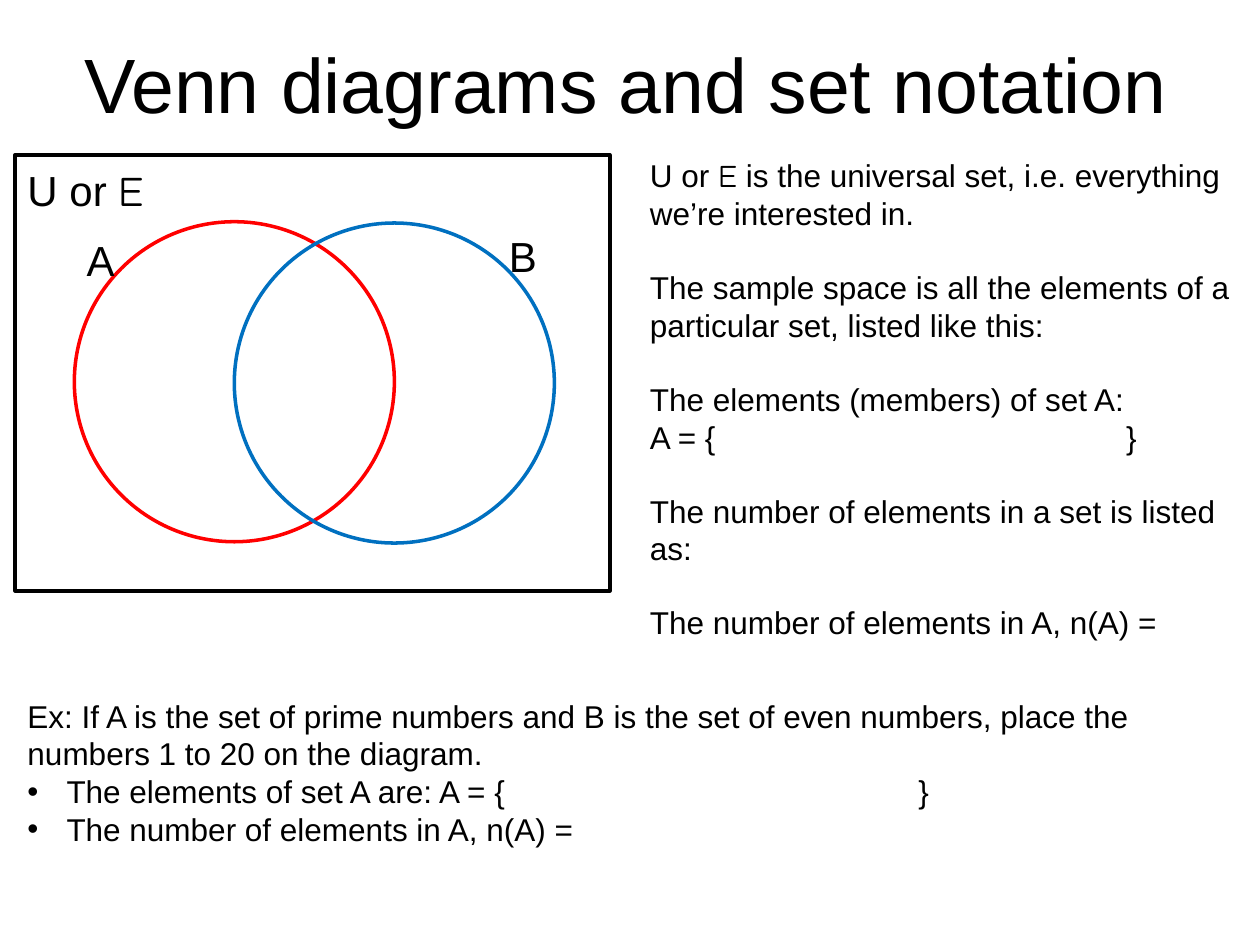
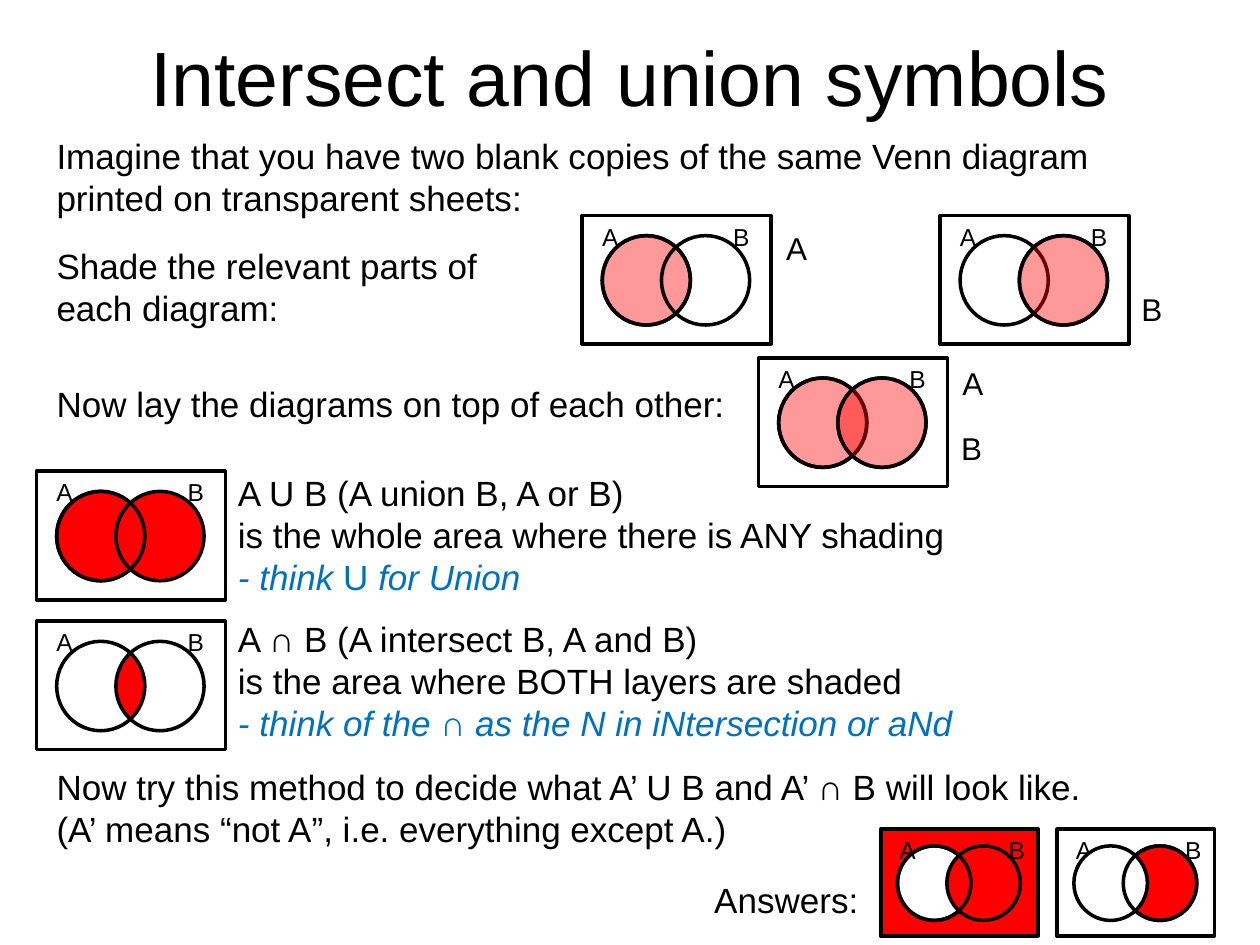
"""Build two slides on Venn diagrams, set notation, intersection and union."""
from dataclasses import dataclass
from math import acos, cos, pi, sin
from typing import Any

from lxml import etree
from pptx import Presentation
from pptx.dml.color import RGBColor
from pptx.enum.shapes import MSO_SHAPE
from pptx.enum.text import MSO_AUTO_SIZE
from pptx.oxml.ns import qn
from pptx.util import Inches, Pt

RECTANGLE = MSO_SHAPE.RECTANGLE
OVAL = MSO_SHAPE.OVAL
FIT_SHAPE = MSO_AUTO_SIZE.SHAPE_TO_FIT_TEXT
COLORS = {"black": "000000", "white": "FFFFFF", "red": "FF0000", "blue": "0070C0"}
FONT = "Arial"
SET_SYMBOL_FONT = "Comic Neue"
TITLE_ONLY = 5
BLANK_LINE = Pt(20.7)
BULLET_INDENT = 0.31
TINT_ALPHA = 40
FRAME_SIZE = (1.5, 1.02)
CIRCLE_SIZE = (0.7, 0.71)
CIRCLE_LEFT = {"A": 0.16, "B": 0.63}
CIRCLE_TOP = 0.16
LABEL_LEFT = {"A": 0.06, "B": 1.1}
LABEL_SIZE = (0.33, 0.34)
LENS_STEPS = 16


@dataclass(frozen=True)
class Span:
    text: str
    color: str = "black"
    italic: bool = False
    font: str = FONT


@dataclass(frozen=True)
class Line:
    spans: tuple[Span, ...]
    gap: bool = False
    bullet: bool = False
    tab: float = 0


@dataclass(frozen=True)
class Layer:
    name: str
    fill: str = ""
    alpha: int = 100


@dataclass(frozen=True)
class Venn:
    left: float
    top: float
    layers: tuple[Layer, ...]
    under_labels: int
    scale: float = 1
    frame_fill: str = ""
    lens: bool = False


@dataclass(frozen=True)
class TextBlock:
    left: float
    top: float
    width: float
    height: float
    lines: tuple[Line, ...]
    size: int
    wrap: bool = True


def line(text: str, **options: Any) -> Line:
    """Make a line with one plain span."""
    return Line((Span(text),), **options)


def label(text: str, left: float, top: float, width: float, height: float,
          size: int) -> TextBlock:
    """Make a one-line block that does not wrap."""
    return TextBlock(left, top, width, height, (line(text),), size, False)


def format_lines(paragraph: Any, item: Line) -> None:
    """Set the gap, bullet and tab stop of a paragraph."""
    if item.gap:
        paragraph.space_before = BLANK_LINE
    properties = paragraph._p.get_or_add_pPr()
    if item.bullet:
        properties.set("marL", str(Inches(BULLET_INDENT)))
        properties.set("indent", str(-Inches(BULLET_INDENT)))
        etree.SubElement(properties, qn("a:buFont"), typeface=FONT)
        etree.SubElement(properties, qn("a:buChar"), char="•")
    if item.tab:
        stops = etree.SubElement(properties, qn("a:tabLst"))
        etree.SubElement(stops, qn("a:tab"), pos=str(Inches(item.tab)), algn="l")


def write_span(paragraph: Any, text: str, *, size: int, color: str = "black",
               italic: bool = False, font: str = FONT) -> None:
    """Add formatted text to a paragraph."""
    run = paragraph.add_run()
    run.text = text
    run.font.name = font
    run.font.size = Pt(size)
    run.font.italic = italic
    run.font.color.rgb = RGBColor.from_string(COLORS[color])


def draw_text(shapes: Any, block: TextBlock) -> None:
    """Draw a text box with all its lines."""
    box = shapes.add_textbox(*map(Inches, (block.left, block.top, block.width, block.height)))
    frame = box.text_frame
    frame.word_wrap = block.wrap
    frame.auto_size = FIT_SHAPE
    for index, item in enumerate(block.lines):
        para = frame.add_paragraph() if index else frame.paragraphs[0]
        format_lines(para, item)
        for span in item.spans:
            write_span(para, span.text, size=block.size, color=span.color,
                       italic=span.italic, font=span.font)


def style_shape(shape: Any, fill: str, color: str, width: float, alpha: int = 100) -> None:
    """Set the fill, transparency and outline of a shape."""
    shape.shadow.inherit = False
    shape.line.color.rgb = RGBColor.from_string(COLORS[color])
    shape.line.width = Pt(width)
    if not fill:
        shape.fill.background()
        return
    shape.fill.solid()
    shape.fill.fore_color.rgb = RGBColor.from_string(COLORS[fill])
    if alpha < 100:
        tone = shape._element.spPr.find(qn("a:solidFill"))[0]
        etree.SubElement(tone, qn("a:alpha"), val=str(alpha * 1000))


def draw_shape(shapes: Any, kind: Any, left: float, top: float, width: float, height: float,
               *, fill: str = "", color: str = "black", alpha: int = 100) -> None:
    """Draw a preset shape with a two-point outline."""
    shape = shapes.add_shape(kind, *map(Inches, (left, top, width, height)))
    style_shape(shape, fill, color, 2, alpha)


def draw_lens(shapes: Any, venn: Venn) -> None:
    """Draw the filled overlap of the two circles."""
    radius = CIRCLE_SIZE[0] / 2
    half_angle = acos((CIRCLE_LEFT["B"] - CIRCLE_LEFT["A"]) / 2 / radius)
    middle = venn.top + CIRCLE_TOP + CIRCLE_SIZE[1] / 2
    points = []
    for name, facing in (("A", 0), ("B", pi)):
        center = venn.left + CIRCLE_LEFT[name] + radius
        for step in range(LENS_STEPS + 1):
            angle = facing + half_angle * (2 * step / LENS_STEPS - 1)
            points.append((Inches(center + radius * cos(angle)),
                           Inches(middle + radius * sin(angle))))
    builder = shapes.build_freeform(*points[0])
    builder.add_line_segments(points[1:], close=True)
    style_shape(builder.convert_to_shape(), "red", "black", 1)


def draw_venn(page: Any, venn: Venn) -> None:
    """Draw a small framed Venn diagram as one group."""
    shapes = page.shapes.add_group_shape().shapes
    scale = venn.scale

    def place(left: float, top: float, size: tuple[float, float]) -> tuple[float, ...]:
        """Turn offsets within the frame into a place on the page."""
        return (venn.left + left * scale, venn.top + top * scale,
                size[0] * scale, size[1] * scale)

    def draw_layers(layers: tuple[Layer, ...]) -> None:
        """Draw circles from back to front."""
        for layer in layers:
            draw_shape(shapes, OVAL, *place(CIRCLE_LEFT[layer.name], CIRCLE_TOP, CIRCLE_SIZE),
                       fill=layer.fill, alpha=layer.alpha)

    draw_shape(shapes, RECTANGLE, *place(0, 0, FRAME_SIZE), fill=venn.frame_fill)
    if venn.lens:
        draw_lens(shapes, venn)
    draw_layers(venn.layers[:venn.under_labels])
    for name, left in LABEL_LEFT.items():
        draw_text(shapes, label(name, *place(left, 0, LABEL_SIZE), size=14))
    draw_layers(venn.layers[venn.under_labels:])


def add_page(deck: Any, title: str, left: float, top: float, width: float, height: float) -> Any:
    """Add a slide and format its title."""
    page = deck.slides.add_slide(deck.slide_layouts[TITLE_ONLY])
    box = page.shapes.title
    box.left, box.top, box.width, box.height = map(Inches, (left, top, width, height))
    write_span(box.text_frame.paragraphs[0], title, size=44)
    return page


def add_notation_page(deck: Any) -> None:
    """Build the slide on set notation."""
    page = add_page(deck, "Venn diagrams and set notation", 0.47, 0.11, 9, 1.09)
    draw_shape(page.shapes, OVAL, 0.59, 1.76, 2.54, 2.54, color="red")
    draw_shape(page.shapes, RECTANGLE, 0.12, 1.23, 4.72, 3.46)
    draw_shape(page.shapes, OVAL, 1.86, 1.77, 2.54, 2.54, color="blue")
    symbol = Span("E", font=SET_SYMBOL_FONT)
    meaning = Span(" is the universal set, i.e. everything we’re interested in.")
    blocks = (
        TextBlock(0.12, 1.26, 1.17, 0.5, (Line((Span("U or "), symbol)),), 24, False),
        label("A", 0.59, 1.81, 0.43, 0.5, 24),
        label("B", 3.94, 1.78, 0.43, 0.5, 24),
        TextBlock(5.06, 1.19, 4.83, 4.04, (
            Line((Span("U or "), symbol, meaning)),
            line("The sample space is all the elements of a particular set, "
                 "listed like this:", gap=True),
            line("The elements (members) of set A:", gap=True),
            line("A = {\t}", tab=3.78),
            line("The number of elements in a set is listed as:", gap=True),
            line("The number of elements in A, n(A) =", gap=True),
        ), 18),
        TextBlock(0.12, 5.48, 9.76, 1.31, (
            line("Ex: If A is the set of prime numbers and B is the set of even numbers, "
                 "place the numbers 1 to 20 on the diagram."),
            line("The elements of set A are: A = {\t}", bullet=True, tab=7.07),
            line("The number of elements in A, n(A) =", bullet=True),
        ), 18),
    )
    for block in blocks:
        draw_text(page.shapes, block)


def add_symbols_page(deck: Any) -> None:
    """Build the slide on intersection and union."""
    page = add_page(deck, "Intersect and union symbols", 0.5, 0.13, 9, 0.94)
    a_open, b_open = Layer("A"), Layer("B")
    a_red, b_red = Layer("A", "red"), Layer("B", "red")
    a_tint, b_tint = Layer("A", "red", TINT_ALPHA), Layer("B", "red", TINT_ALPHA)
    a_white = Layer("A", "white")
    small = 1.25 / FRAME_SIZE[0]
    diagrams = (
        Venn(4.62, 1.71, (a_tint, a_open, b_open), 3),
        Venn(7.46, 1.71, (a_open, b_open, b_tint), 2),
        Venn(6.02, 2.84, (a_tint, a_open, b_open, b_tint), 3),
        Venn(0.29, 3.74, (a_red, b_red, a_open), 2),
        Venn(0.29, 4.93, (a_open, b_open), 2, lens=True),
        Venn(6.99, 6.58, (a_white, b_red, a_open), 1, small, "red"),
        Venn(8.39, 6.58, (b_red, a_white, b_open), 1, small),
    )
    for diagram in diagrams:
        draw_venn(page, diagram)
    union_hint = (Span("- think ", "blue", True), Span("U", "blue"),
                  Span(" for Union", "blue", True))
    intersect_hint = (Span("- think of the ∩ as the N in iNtersection or aNd", "blue", True),)
    blocks = (
        TextBlock(0.35, 1.02, 9.25, 0.77, (
            line("Imagine that you have two blank copies of the same Venn diagram "
                 "printed on transparent sheets:"),), 20),
        TextBlock(0.35, 1.89, 4.11, 0.77, (
            line("Shade the relevant parts of each diagram:"),), 20),
        TextBlock(0.35, 2.99, 5.55, 0.44, (
            line("Now lay the diagrams on top of each other:"),), 20),
        TextBlock(1.79, 3.69, 5.88, 1.11, (
            line("A U B (A union B, A or B)"),
            line("is the whole area where there is ANY shading"),
            Line(union_hint)), 20),
        TextBlock(1.79, 4.85, 5.91, 1.11, (
            line("A ∩ B (A intersect B, A and B)"),
            line("is the area where BOTH layers are shaded"),
            Line(intersect_hint)), 20, False),
        TextBlock(0.35, 6.03, 9.25, 0.77, (
            line("Now try this method to decide what A’ U B and A’ ∩ B will look like."),
            line("(A’ means “not A”, i.e. everything except A.)")), 20),
        TextBlock(5.57, 6.92, 1.42, 0.44, (line("Answers:"),), 20),
        label("A", 6.14, 1.77, 0.37, 0.4, 18),
        label("B", 8.96, 2.25, 0.37, 0.4, 18),
        label("A", 7.54, 2.84, 0.37, 0.4, 18),
        label("B", 7.53, 3.36, 0.37, 0.4, 18),
    )
    for block in blocks:
        draw_text(page.shapes, block)


def main() -> None:
    """Build and save the deck."""
    deck = Presentation()
    deck.slide_width, deck.slide_height = Inches(10), Inches(7.5)
    add_notation_page(deck)
    add_symbols_page(deck)
    deck.save("out.pptx")


if __name__ == "__main__":
    main()
